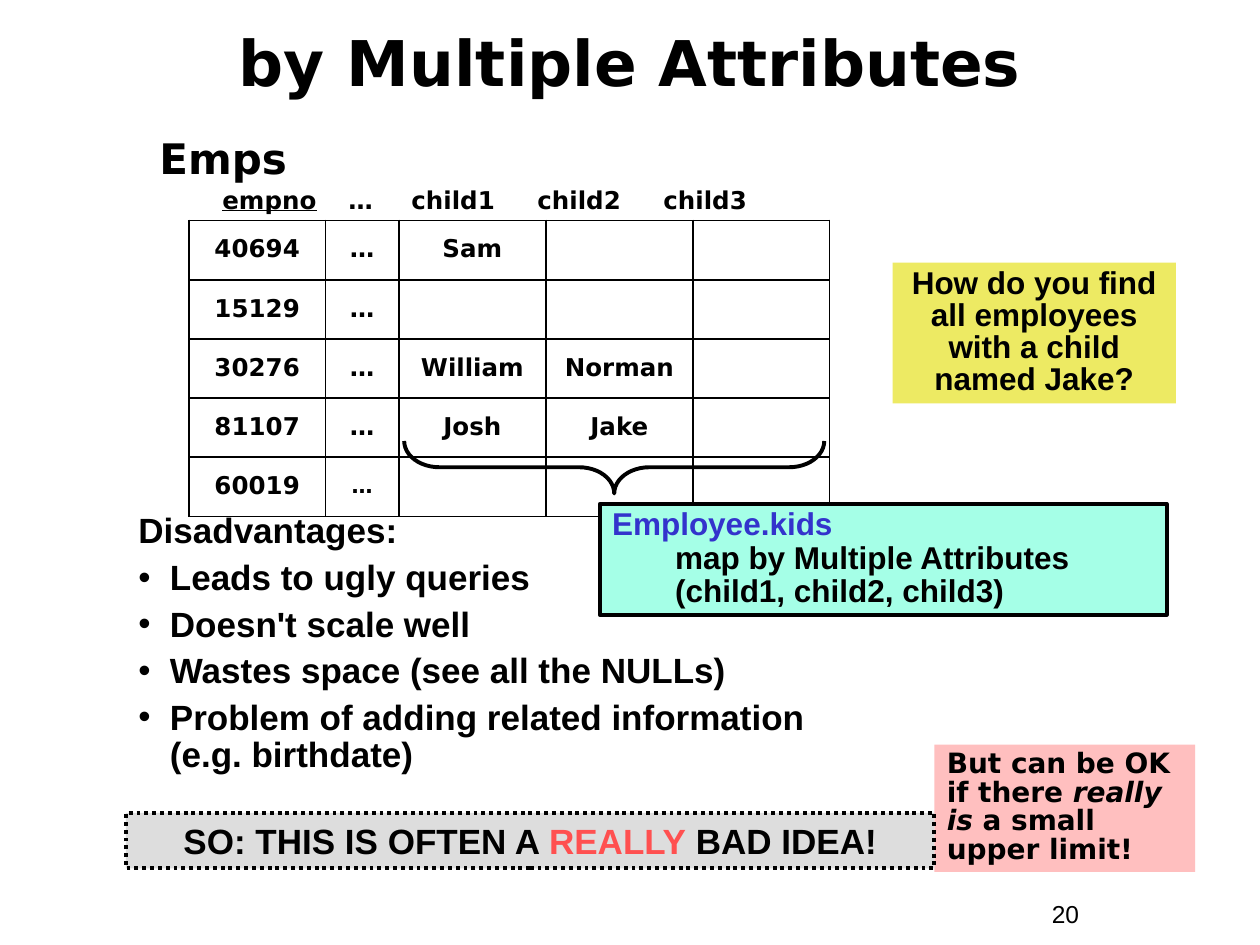
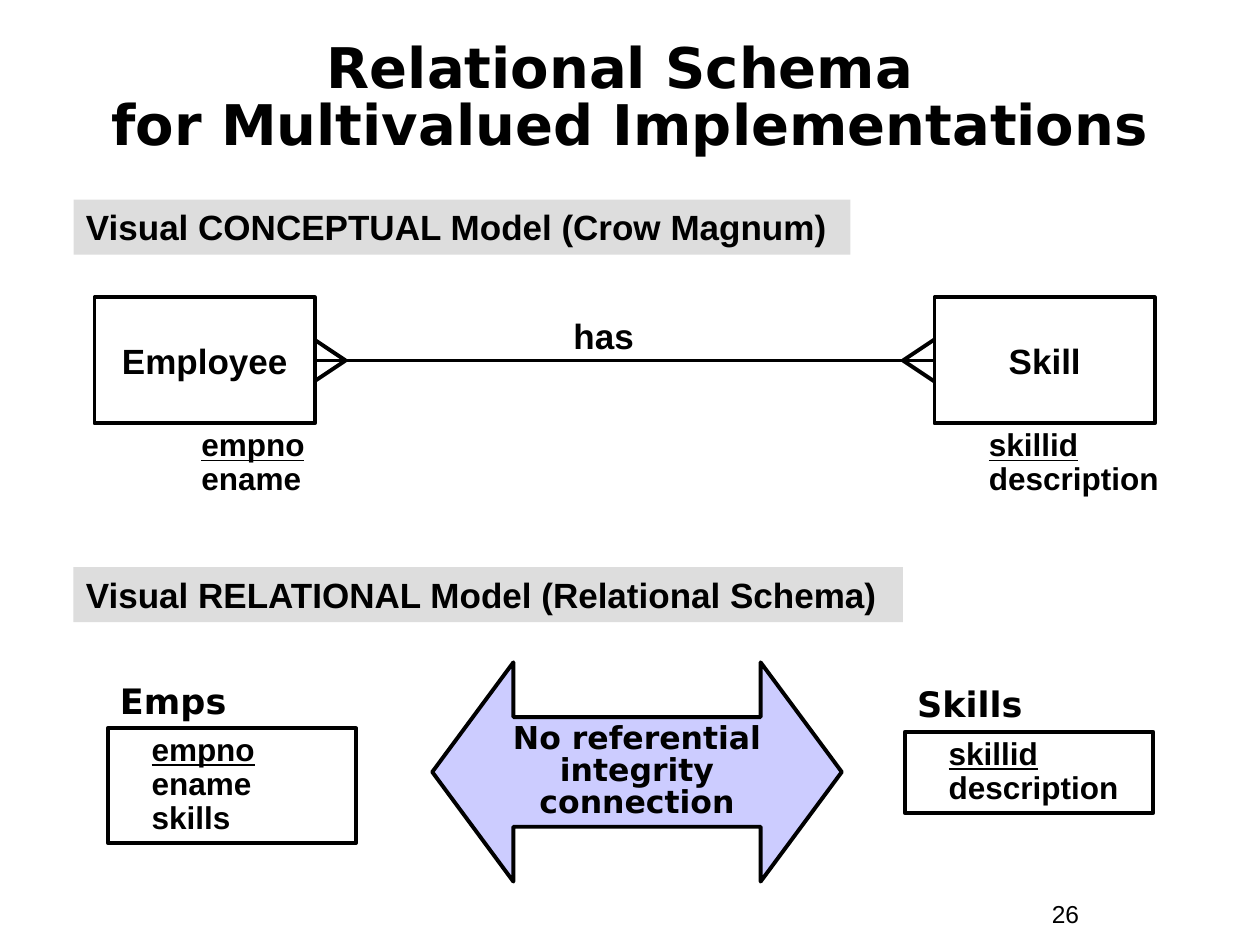
from dataclasses import dataclass

from lxml import etree
from pptx import Presentation
from pptx import util as u
from pptx.dml.color import RGBColor
from pptx.enum import dml, shapes, text
from pptx.oxml import ns

ALIGN = text.PP_ALIGN
ANCHOR = text.MSO_ANCHOR
SHAPE = shapes.MSO_SHAPE


@dataclass(frozen=True)
class Theme:
    sans: str = "Arial"
    display: str = "DejaVu Sans"
    ink: str = "000000"
    blue: str = "3333CC"
    red: str = "FF5050"
    gray: str = "DDDDDD"
    mint: str = "A5FFE7"
    pink: str = "FFBFBF"
    yellow: str = "EDEA63"
    lavender: str = "CCCCFF"
    title: float = 36
    long_title: float = 32
    table_title: float = 24
    heading: float = 20
    body: float = 18
    note: float = 16
    small: float = 14
    tiny: float = 12
    outline: float = 2.25
    grid: float = 1.08


THEME = Theme()


@dataclass(frozen=True)
class Box:
    left: float
    top: float
    width: float
    height: float

    def inner(self, left, top, width, height):
        return Box(self.left + left, self.top + top, width, height)

    def lengths(self):
        return [u.Pt(value) for value in (self.left, self.top, self.width, self.height)]


def set_format(target, values):
    for name, value in values.items():
        setattr(target, name, value)


def add_element(parent, tag, **attributes):
    return etree.SubElement(parent, ns.qn(tag), attributes)


def add_run(paragraph, content, size, font=THEME.sans, color=THEME.ink, bold=True, **extra):
    run = paragraph.add_run()
    run.text = content
    set_format(run.font, dict(size=u.Pt(size), name=font, bold=bold, **extra))
    run.font.color.rgb = RGBColor.from_string(color)


def format_paragraph(paragraph, align=ALIGN.LEFT, spacing=1.0, before=0, indent=0,
                     hanging=0, bullet=False, tabs=()):
    properties = paragraph._p.get_or_add_pPr()
    set_format(paragraph, dict(alignment=align, line_spacing=spacing,
                               space_before=u.Pt(before)))
    properties.set("marL", str(u.Pt(indent)))
    properties.set("indent", str(-u.Pt(hanging)))
    if bullet:
        color = add_element(properties, "a:buClr")
        add_element(color, "a:srgbClr", val=THEME.ink)
        add_element(properties, "a:buFont", typeface=THEME.sans)
        add_element(properties, "a:buChar", char="•")
    if tabs:
        tab_list = add_element(properties, "a:tabLst")
        for tab in tabs:
            add_element(tab_list, "a:tab", pos=str(u.Pt(tab)), algn="l")


def write(shape, paragraphs, size, anchor=ANCHOR.TOP, font=THEME.sans, bold=True, **layout):
    frame = shape.text_frame
    set_format(frame, dict(word_wrap=True, vertical_anchor=anchor,
                           margin_left=u.Pt(7.2), margin_right=u.Pt(7.2),
                           margin_top=u.Pt(3.6), margin_bottom=u.Pt(3.6)))
    for index, (runs, options) in enumerate(paragraphs):
        paragraph = frame.add_paragraph() if index else frame.paragraphs[0]
        format_paragraph(paragraph, **{**layout, **options})
        for content, style in runs:
            pieces = content.split("\v")
            for position, piece in enumerate(pieces):
                if position:
                    paragraph.add_line_break()
                add_run(paragraph, piece, **{"size": size, "font": font, "bold": bold, **style})


def plain(*lines):
    return [([(line, {})], {}) for line in lines]


def key_first(*lines):
    return [([(line, {"underline": index == 0})], {}) for index, line in enumerate(lines)]


def add_label(slide, box, paragraphs, size, **layout):
    write(slide.shapes.add_textbox(*box.lengths()), paragraphs, size, **layout)


def add_figure(slide, box, kind=SHAPE.RECTANGLE, fill=None, outline=True, dash=None):
    shape = slide.shapes.add_shape(kind, *box.lengths())
    shape.shadow.inherit = False
    if fill:
        shape.fill.solid()
        shape.fill.fore_color.rgb = RGBColor.from_string(fill)
    else:
        shape.fill.background()
    if outline:
        shape.line.color.rgb = RGBColor.from_string(THEME.ink)
        set_format(shape.line, dict(width=u.Pt(THEME.outline), dash_style=dash))
    else:
        shape.line.fill.background()
    return shape


def add_line(slide, *ends):
    line = slide.shapes.add_connector(shapes.MSO_CONNECTOR.STRAIGHT, *map(u.Pt, ends))
    line.line.color.rgb = RGBColor.from_string(THEME.ink)
    line.line.width = u.Pt(THEME.outline)
    add_element(line._element.spPr, "a:effectLst")
    return line


def start_slide(presentation, title, box, size, spacing, number):
    slide = presentation.slides.add_slide(presentation.slide_layouts[6])
    add_label(slide, Box(594, 510, 66, 24), plain(number), THEME.small, bold=False)
    add_label(slide, box, plain(title), size, anchor=ANCHOR.MIDDLE,
              font=THEME.display, align=ALIGN.CENTER, spacing=spacing)
    return slide


def border_cell(cell):
    properties = cell._tc.get_or_add_tcPr()
    for index, tag in enumerate(("a:lnL", "a:lnR", "a:lnT", "a:lnB")):
        line = etree.Element(ns.qn(tag), w=str(u.Pt(THEME.grid)))
        fill = add_element(line, "a:solidFill")
        add_element(fill, "a:srgbClr", val=THEME.ink)
        properties.insert(index, line)


def employee_table(slide, box):
    rows = [("40694", "…", "Sam", "", ""), ("15129", "…", "", "", ""),
            ("30276", "…", "William", "Norman", ""), ("81107", "…", "Josh", "Jake", ""),
            ("60019", "…", "", "", "")]
    widths = (78, 42, 84, 84, 78)
    row_height = 33.84
    grid = box.inner(24, 54, sum(widths), row_height * len(rows))
    table = slide.shapes.add_table(len(rows), len(widths), *grid.lengths()).table
    set_format(table, dict(first_row=False, horz_banding=False))
    for column, width in zip(table.columns, widths):
        column.width = u.Pt(width)
    for row, values in zip(table.rows, rows):
        row.height = u.Pt(row_height)
        for cell, value in zip(row.cells, values):
            cell.fill.background()
            border_cell(cell)
            cell.vertical_anchor = ANCHOR.MIDDLE
            paragraph = cell.text_frame.paragraphs[0]
            format_paragraph(paragraph, align=ALIGN.CENTER, spacing=0.9)
            if value:
                last_ellipsis = values is rows[-1] and value == "…"
                add_run(paragraph, value, THEME.tiny if last_ellipsis else THEME.small,
                        font=THEME.display)

    header = [([("empno", {"underline": True}), ("\t…\tchild1\tchild2\tchild3", {})], {})]
    add_label(slide, box.inner(36, 30, 348, 24), header, THEME.small,
              font=THEME.display, tabs=(73, 121, 203, 285))
    add_label(slide, box.inner(0, 0, 168, 36), plain("Emps"), THEME.table_title,
              font=THEME.display)


def disadvantages(slide, box):
    heading, *points = plain("Disadvantages:", "Leads to ugly queries", "Doesn't scale well",
                             "Wastes space (see all the NULLs)",
                             "Problem of adding related information (e.g. birthdate)")
    bullets = [(runs, {"bullet": True, "before": 5}) for runs, _ in points]
    add_label(slide, box, [heading, *bullets], THEME.heading,
              spacing=0.9, indent=18, hanging=18)


def mapping_callout(slide, box):
    brace = add_figure(slide, box.inner(0, -105, 30, 240), SHAPE.LEFT_BRACE)
    brace.rotation = 270
    brace.adjustments[0] = 0.67
    card = add_figure(slide, box.inner(6.7, 36, 324, 63.4), fill=THEME.mint)
    write(card, [([("Employee.kids", {"color": THEME.blue})], {}),
                 ([("map by Multiple Attributes\v(child1, child2, child3)", {})],
                  {"indent": 36, "before": 1.1})], THEME.body, spacing=0.85)


def verdict(slide, box):
    exception = add_figure(slide, box.inner(462, 0, 149, 72.7), fill=THEME.pink, outline=False)
    write(exception, [([("But can be OK if there ", {}), ("really is", {"italic": True}),
                        (" a small upper limit!", {})], {})],
          THEME.note, font=THEME.display, spacing=0.85)
    banner = add_figure(slide, box.inner(0, 39, 462, 31.7), fill=THEME.gray,
                        dash=dml.MSO_LINE.ROUND_DOT)
    write(banner, [([("SO: THIS IS OFTEN A ", {}), ("REALLY", {"color": THEME.red}),
                     (" BAD IDEA!", {})], {})], THEME.heading, align=ALIGN.CENTER)


def question(slide, box):
    card = add_figure(slide, box, fill=THEME.yellow, outline=False)
    write(card, plain("How do you find all employees with a child named Jake?"),
          THEME.body, align=ALIGN.CENTER, spacing=0.85)


def attributes_slide(presentation):
    slide = start_slide(presentation, "by Multiple Attributes", Box(24, 18, 672, 42),
                        THEME.title, 0.8, "20")
    employee_table(slide, Box(84, 72, 390, 223))
    disadvantages(slide, Box(72, 290, 414, 157))
    mapping_callout(slide, Box(336, 252, 331, 99))
    verdict(slide, Box(72, 425.5, 611, 73))
    question(slide, Box(510, 150, 162, 80.6))


def section_band(slide, box, caption):
    write(add_figure(slide, box, fill=THEME.gray, outline=False), plain(caption), THEME.heading)


def entity(slide, box, name, attribute_left, attributes):
    rectangle = add_figure(slide, box)
    write(rectangle, plain(name), THEME.heading, anchor=ANCHOR.MIDDLE, align=ALIGN.CENTER)
    add_label(slide, box.inner(attribute_left, box.height, 120, 46), key_first(*attributes),
              THEME.body, spacing=0.9)
    return rectangle


def crow_foot(slide, tip, toe, middle):
    for spread in (-12, 12):
        add_line(slide, tip, middle, toe, middle + spread)


def conceptual_model(slide, box):
    right = box.left + box.width
    middle = box.top + box.height / 2
    employee = entity(slide, box.inner(0, 0, 126, box.height), "Employee", 54,
                      ("empno", "ename"))
    skill = entity(slide, box.inner(box.width - 126, 0, 126, box.height), "Skill", 24,
                   ("skillid", "description"))
    relation = add_line(slide, box.left + 126, middle, right - 126, middle)
    relation.begin_connect(employee, 3)
    relation.end_connect(skill, 1)
    crow_foot(slide, box.left + 143.5, box.left + 125.5, middle)
    crow_foot(slide, right - 144, right - 126, middle)
    add_label(slide, box.inner(216, 6, 150, 32), plain("has"), THEME.heading,
              align=ALIGN.CENTER)


def relation_table(slide, box, name, columns):
    add_label(slide, box.inner(0, 0, 155, 31.7), plain(name), THEME.heading, font=THEME.display)
    card = add_figure(slide, box.inner(0, 31.7, box.width, box.height - 31.7))
    write(card, key_first(*columns), THEME.body, spacing=0.9, indent=18)


def relational_model(slide, box):
    relation_table(slide, box.inner(0, 6, 142, 97.2), "Emps", ("empno", "ename", "skills"))
    relation_table(slide, box.inner(455.5, 8, 142, 78), "Skills", ("skillid", "description"))
    arrow = add_figure(slide, box.inner(185.5, 0, 234, 125.3), SHAPE.LEFT_RIGHT_ARROW,
                       fill=THEME.lavender)
    arrow.adjustments[0] = 0.5
    arrow.adjustments[1] = 0.37
    write(arrow, plain("No referential integrity connection"), THEME.body,
          anchor=ANCHOR.MIDDLE, font=THEME.display, align=ALIGN.CENTER, spacing=0.85)


def schema_slide(presentation):
    slide = start_slide(presentation, "Relational Schema \vfor Multivalued Implementations",
                        Box(24, 24, 672, 66), THEME.long_title, 0.85, "26")
    conceptual_model(slide, Box(54, 170, 606, 72))
    relational_model(slide, Box(61.5, 378.5, 597.5, 125.3))
    section_band(slide, Box(42, 114, 444, 31.5), "Visual CONCEPTUAL Model (Crow Magnum)")
    section_band(slide, Box(42, 324, 474, 31.5),
                 "Visual RELATIONAL Model (Relational Schema)")


def main():
    presentation = Presentation()
    set_format(presentation, dict(slide_width=u.Pt(720), slide_height=u.Pt(540)))
    attributes_slide(presentation)
    schema_slide(presentation)
    presentation.save("out.pptx")


if __name__ == "__main__":
    main()
